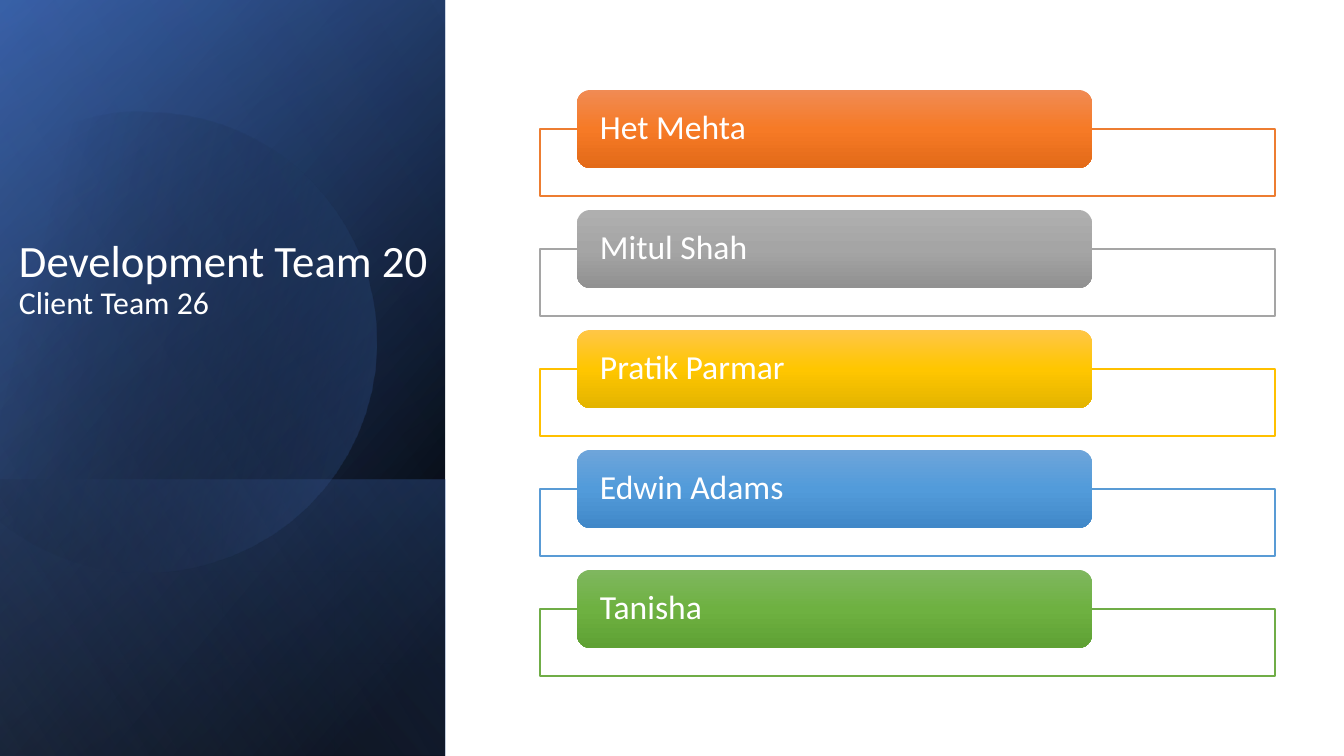
from math import cos, radians, sin

from lxml.etree import SubElement
from pptx import Presentation
from pptx.dml.color import RGBColor
from pptx.enum.shapes import MSO_SHAPE
from pptx.enum.text import MSO_ANCHOR
from pptx.oxml.ns import qn
from pptx.util import Pt

PX = 914400 / 134.4  # EMU per pixel
COLORS = {"white": "FFFFFF", "black": "000000", "blue": "4472C4",
          "navy": "2F5496", "pale": "8DA9DB"}


def emu(px):
    return round(px * PX)


def bezier(p0, p1, p2, p3, steps=16):
    """Points along a cubic curve, without its start."""
    for i in range(1, steps + 1):
        t = i / steps
        u = 1 - t
        yield tuple(u**3 * a + 3 * u * u * t * b + 3 * u * t * t * c + t**3 * d
                    for a, b, c, d in zip(p0, p1, p2, p3))


class Deck:
    font = "Calibri"

    def __init__(self, w, h):
        self.prs = Presentation()
        self.prs.slide_width, self.prs.slide_height = emu(w), emu(h)
        self.s = self.prs.slides.add_slide(self.prs.slide_layouts[6])

    def gradient(self, sp, stops, angle):
        """Stops are (position %, colour, opacity %); angle runs clockwise."""
        sp.shadow.inherit = False
        sp.line.fill.background()
        sp.fill.gradient()
        sp.fill.gradient_angle = -angle % 360
        gs_list = sp._element.spPr.find(qn("a:gradFill")).find(qn("a:gsLst"))
        for gs in list(gs_list):
            gs_list.remove(gs)
        for pos, color, opacity in stops:
            gs = SubElement(gs_list, qn("a:gs"), pos=str(pos * 1000))
            clr = SubElement(gs, qn("a:srgbClr"), val=COLORS.get(color, color))
            if opacity < 100:
                SubElement(clr, qn("a:alpha"), val=str(opacity * 1000))

    def panel(self, x, y, w, h, stops, angle):
        """Rectangle covering x, y, w, h, mirrored and turned a quarter."""
        sp = self.s.shapes.add_shape(
            MSO_SHAPE.RECTANGLE, emu(x + (w - h) / 2), emu(y + (h - w) / 2),
            emu(h), emu(w))
        sp._element.spPr.xfrm.set("flipH", "1")
        sp.rotation = 90
        self.gradient(sp, stops, angle)

    def outline(self, points, center, rotation, stops, angle):
        """Closed outline given as seen, stored in its unrotated frame."""
        cx, cy = center
        c, s = cos(radians(-rotation)), sin(radians(-rotation))
        pts = [(emu(cx + (x - cx) * c - (y - cy) * s),
                emu(cy + (x - cx) * s + (y - cy) * c)) for x, y in points]
        builder = self.s.shapes.build_freeform(*pts[0])
        builder.add_line_segments(pts[1:], close=True)
        sp = builder.convert_to_shape()
        sp.rotation = rotation
        self.gradient(sp, stops, angle)

    def frame(self, x, y, w, h, color):
        sp = self.s.shapes.add_shape(MSO_SHAPE.RECTANGLE, *map(emu, (x, y, w, h)))
        sp.shadow.inherit = False
        sp.fill.solid()
        sp.fill.fore_color.rgb = RGBColor.from_string(COLORS["white"])
        sp.line.color.rgb = RGBColor.from_string(color)
        sp.line.width = Pt(0.75)

    def pill(self, x, y, w, h, colors):
        sp = self.s.shapes.add_shape(MSO_SHAPE.ROUNDED_RECTANGLE,
                                     *map(emu, (x, y, w, h)))
        sp.adjustments[0] = 0.17
        self.gradient(sp, [(i * 50, c, 100) for i, c in enumerate(colors)], 90)

    def text(self, x, y, w, h, lines, anchor, inset_x, inset_y):
        """Lines are (text, size) pairs in one paragraph."""
        tf = self.s.shapes.add_textbox(*map(emu, (x, y, w, h))).text_frame
        fmt = {"word_wrap": True, "vertical_anchor": anchor,
               "margin_left": emu(inset_x), "margin_right": emu(inset_x),
               "margin_top": emu(inset_y), "margin_bottom": emu(inset_y)}
        for name, value in fmt.items():
            setattr(tf, name, value)
        p = tf.paragraphs[0]
        p.line_spacing = 0.9
        for i, (line, size) in enumerate(lines):
            if i:
                p.add_line_break()
            r = p.add_run()
            r.text = line
            for name, value in {"name": self.font, "size": Pt(size)}.items():
                setattr(r.font, name, value)
            r.font.color.rgb = RGBColor.from_string(COLORS["white"])


# name, frame colour, pill gradient from top to bottom
MEMBERS = [
    ("Het Mehta", "ED7D31", ("F08B54", "F67A26", "E36A18")),
    ("Mitul Shah", "A5A5A5", ("AFAFAF", "A5A5A5", "919191")),
    ("Pratik Parmar", "FFC000", ("FFC647", "FFC600", "E3B400")),
    ("Edwin Adams", "599BD5", ("6EA5DA", "529BDA", "4188C8")),
    ("Tanisha", "70AD47", ("7FB75F", "6EB141", "5FA134")),
]
ROW_PITCH = 120


def main():
    deck = Deck(1344, 756)

    # Layered blue side panel
    side = (0, 0, 445, 756)
    deck.panel(*side, [(0, "black", 100), (8, "black", 100),
                       (100, "navy", 100)], 50)
    deck.panel(*side, [(0, "black", 0), (99, "blue", 46),
                       (100, "blue", 46)], 30)
    deck.panel(0, 480, 445, 276, [(0, "blue", 29), (2, "blue", 29),
                                  (100, "black", 30)], 130)

    # Circle cut by the left edge
    top = (149, 112)
    circle = [top,
              *bezier(top, (249, 113), (337, 179), (367, 278)),
              *bezier((367, 278), (402, 401), (331, 528), (208, 563)),
              *bezier((208, 563), (132, 585), (54, 566), (-3, 519)),
              (-15, 507), (-15, 176), (0, 163),
              *bezier((0, 163), (23, 144), (51, 129), (81, 120)),
              *bezier((81, 120), (103, 113), (127, 110), top)]
    deck.outline(circle, (160, 338), -16.1,
                 [(0, "black", 0), (29, "black", 0), (100, "blue", 43)], 30)
    deck.panel(*side, [(0, "black", 0), (99, "pale", 11),
                       (100, "pale", 11)], 120)

    # Title
    deck.text(9, 185, 435, 141,
              [("Development Team 20", 24), ("Client Team 26", 17)],
              MSO_ANCHOR.BOTTOM, 10, 5)

    # Team members
    for i, (name, color, shades) in enumerate(MEMBERS):
        y = 90 + i * ROW_PITCH
        deck.frame(540, y + 39, 735, 67, color)
        deck.pill(577, y, 515, 78, shades)
        deck.text(581, y + 4, 507, 70, [(name, 18)], MSO_ANCHOR.MIDDLE, 19, 0)

    deck.prs.save("out.pptx")


if __name__ == "__main__":
    main()
